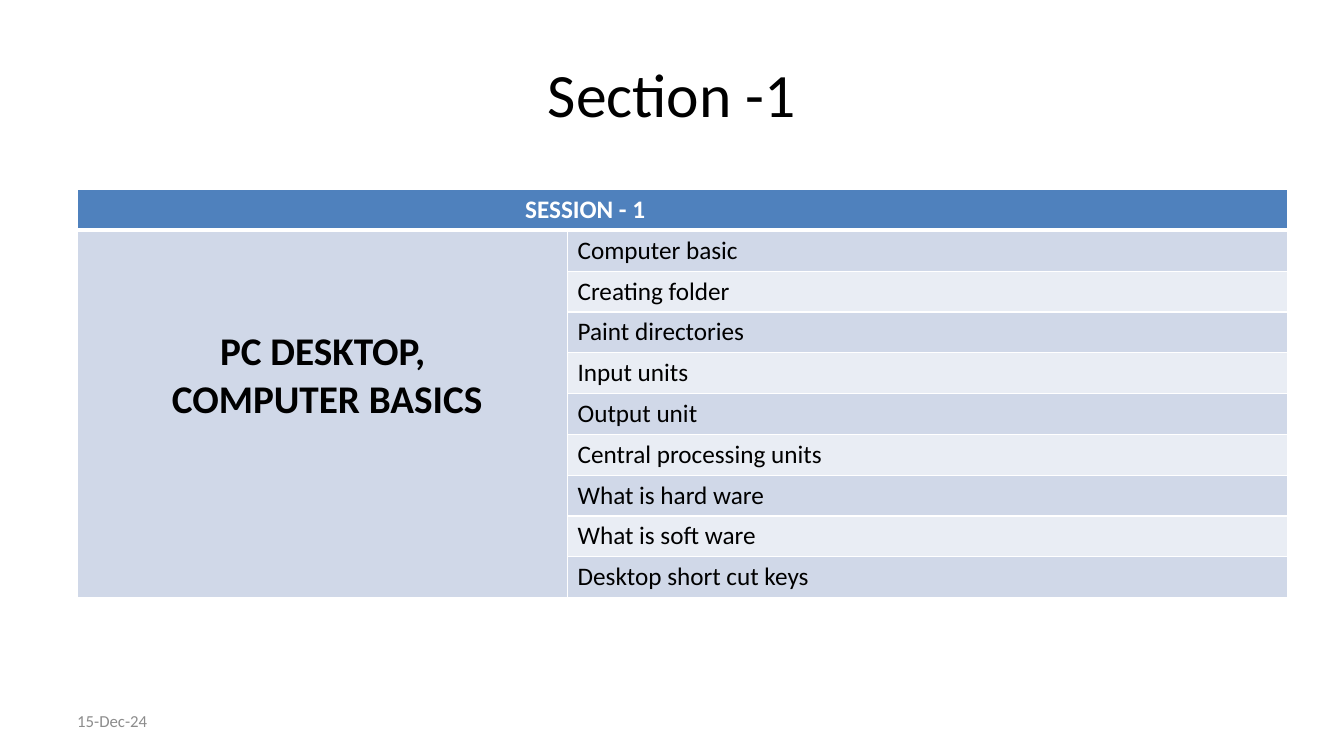
from dataclasses import dataclass

from lxml import etree
from pptx import Presentation
from pptx import util as u
from pptx.dml import color
from pptx.enum import text
from pptx.oxml import ns

SLIDE_WIDTH, SLIDE_HEIGHT = u.Inches(13.33), u.Inches(7.5)


@dataclass(frozen=True)
class Theme:
    font: str = "Calibri"
    ink: str = "000000"
    paper: str = "FFFFFF"
    header: str = "4F81BD"
    band_dark: str = "D0D8E8"
    band_light: str = "E9EDF4"
    date: str = "8C8C8C"
    title_size: int = 44
    topic_size: int = 28
    body_size: int = 18
    date_size: int = 12
    border: int = 1
    header_border: int = 3


THEME = Theme()


@dataclass(frozen=True)
class Style:
    size: int
    colour: str = THEME.ink
    bold: bool = False
    align: text.PP_ALIGN = text.PP_ALIGN.LEFT


@dataclass(frozen=True)
class Label:
    """A text box, placed in percent of the slide's size."""
    words: str
    left: float
    top: float
    width: float
    height: float
    style: Style


CENTER = text.PP_ALIGN.CENTER
LABELS = [
    Label("Section -1", 5, 4, 90, 16.67, Style(THEME.title_size, align=CENTER)),
    Label("15-Dec-24", 5, 92.67, 23.33, 5.33, Style(THEME.date_size, THEME.date)),
]
HEADER_STYLE = Style(THEME.body_size, THEME.paper, bold=True)
TOPIC_STYLE = Style(THEME.topic_size, bold=True, align=CENTER)
ITEM_STYLE = Style(THEME.body_size)

TABLE_LEFT, TABLE_TOP = 5.78, 25.07
COLUMN_WIDTHS = [36.45, 53.55]
ROW_HEIGHT = 5.4
HEADER_INDENT = 33.3
TOPIC_DROP = 12.9

TOPIC = ["PC DESKTOP,", " COMPUTER BASICS"]
ITEMS = [
    "Computer basic",
    "Creating folder",
    "Paint directories",
    "Input units",
    "Output unit",
    "Central processing units",
    "What is hard ware",
    "What is soft ware",
    "Desktop short cut keys",
]


def across(percent: float) -> u.Emu:
    return u.Emu(round(SLIDE_WIDTH * percent / 100))


def down(percent: float) -> u.Emu:
    return u.Emu(round(SLIDE_HEIGHT * percent / 100))


def write(frame, lines: list[str], style: Style) -> None:
    frame.word_wrap = True
    for index, line in enumerate(lines):
        paragraph = frame.add_paragraph() if index else frame.paragraphs[0]
        paragraph.alignment = style.align
        run = paragraph.add_run()
        run.text = line
        run.font.name = THEME.font
        run.font.size = u.Pt(style.size)
        run.font.bold = style.bold
        run.font.color.rgb = color.RGBColor.from_string(style.colour)


def add_label(slide, label: Label) -> None:
    shape = slide.shapes.add_textbox(across(label.left), down(label.top),
                                     across(label.width), down(label.height))
    shape.text_frame.vertical_anchor = text.MSO_ANCHOR.MIDDLE
    write(shape.text_frame, [label.words], label.style)


def paint_cell(cell, row: int) -> None:
    """Give a cell its borders and the band colour of its row."""
    properties = cell._tc.get_or_add_tcPr()
    for side in "LRTB":
        under_header = (row, side) in ((0, "B"), (1, "T"))
        points = THEME.header_border if under_header else THEME.border
        line = etree.SubElement(properties, ns.qn(f"a:ln{side}"), w=str(u.Pt(points)))
        fill = etree.SubElement(line, ns.qn("a:solidFill"))
        etree.SubElement(fill, ns.qn("a:srgbClr"), val=THEME.paper)
    band = THEME.band_dark if row % 2 else THEME.band_light
    cell.fill.solid()
    cell.fill.fore_color.rgb = color.RGBColor.from_string(band if row else THEME.header)


def add_session_table(slide) -> None:
    row_count = len(ITEMS) + 1
    table = slide.shapes.add_table(
        row_count, len(COLUMN_WIDTHS), across(TABLE_LEFT), down(TABLE_TOP),
        across(sum(COLUMN_WIDTHS)), down(ROW_HEIGHT * row_count)).table
    for column, width in zip(table.columns, COLUMN_WIDTHS):
        column.width = across(width)
    for index, row in enumerate(table.rows):
        row.height = down(ROW_HEIGHT)
        for cell in row.cells:
            paint_cell(cell, index)

    header, topic = table.cell(0, 0), table.cell(1, 0)
    header.merge(table.cell(0, 1))
    header.margin_left = across(HEADER_INDENT)
    write(header.text_frame, ["SESSION - 1"], HEADER_STYLE)

    topic.merge(table.cell(len(ITEMS), 0))
    topic.fill.fore_color.rgb = color.RGBColor.from_string(THEME.band_dark)
    topic.margin_top = down(TOPIC_DROP)
    write(topic.text_frame, TOPIC, TOPIC_STYLE)

    for index, item in enumerate(ITEMS, start=1):
        write(table.cell(index, 1).text_frame, [item], ITEM_STYLE)


def main() -> None:
    presentation = Presentation()
    presentation.slide_width, presentation.slide_height = SLIDE_WIDTH, SLIDE_HEIGHT
    slide = presentation.slides.add_slide(presentation.slide_layouts[6])
    for label in LABELS:
        add_label(slide, label)
    add_session_table(slide)
    presentation.save("out.pptx")


if __name__ == "__main__":
    main()
